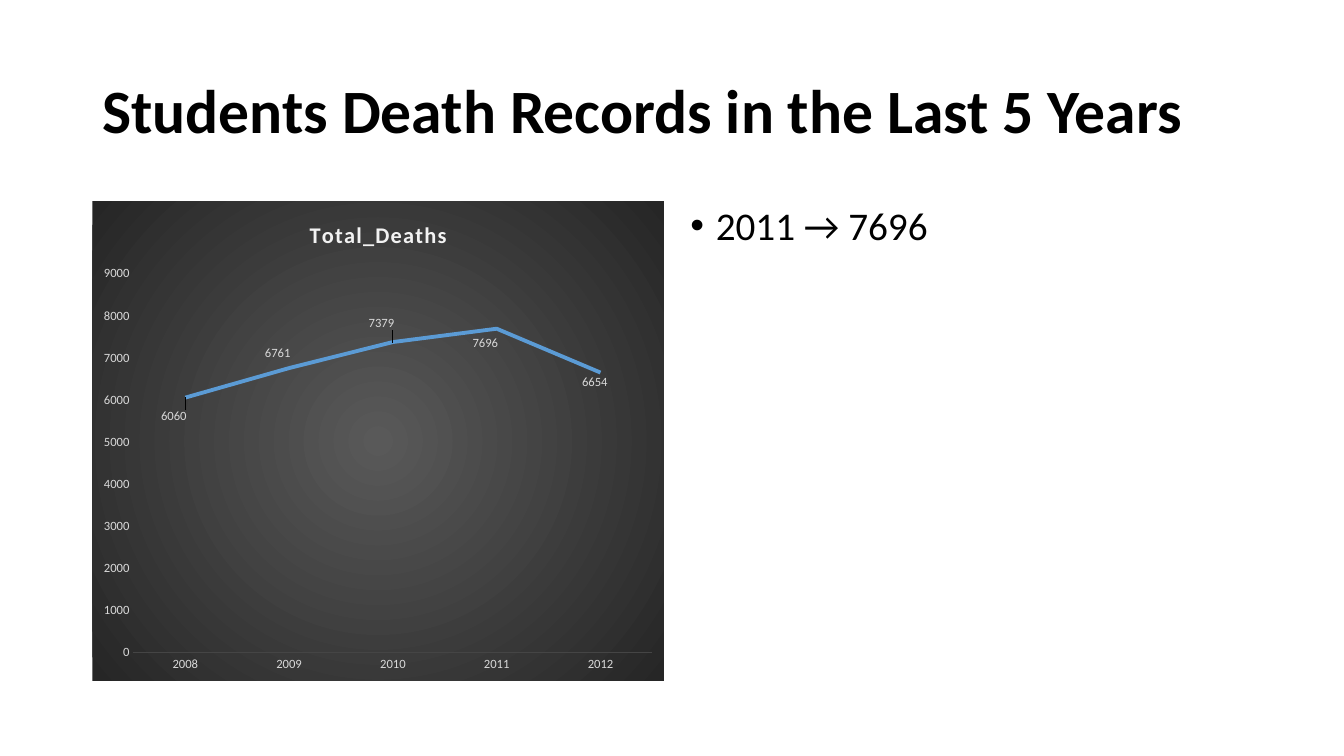
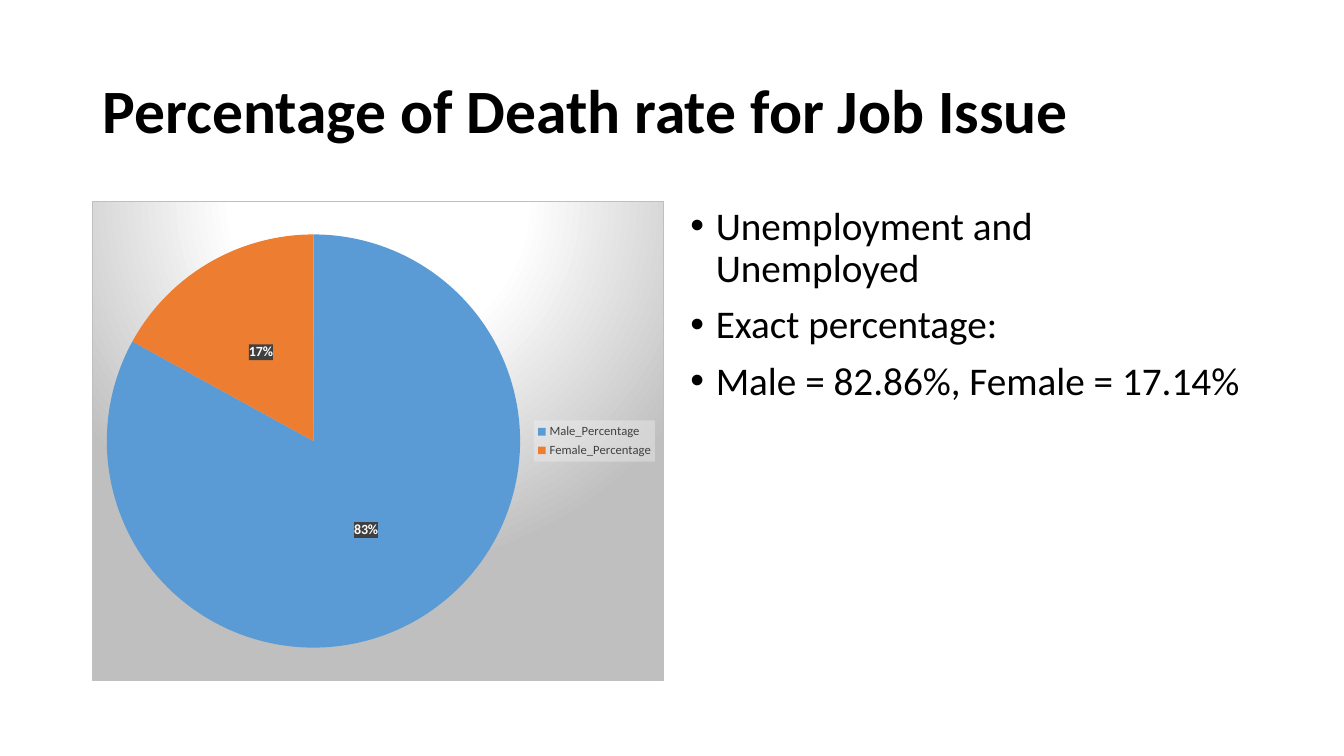
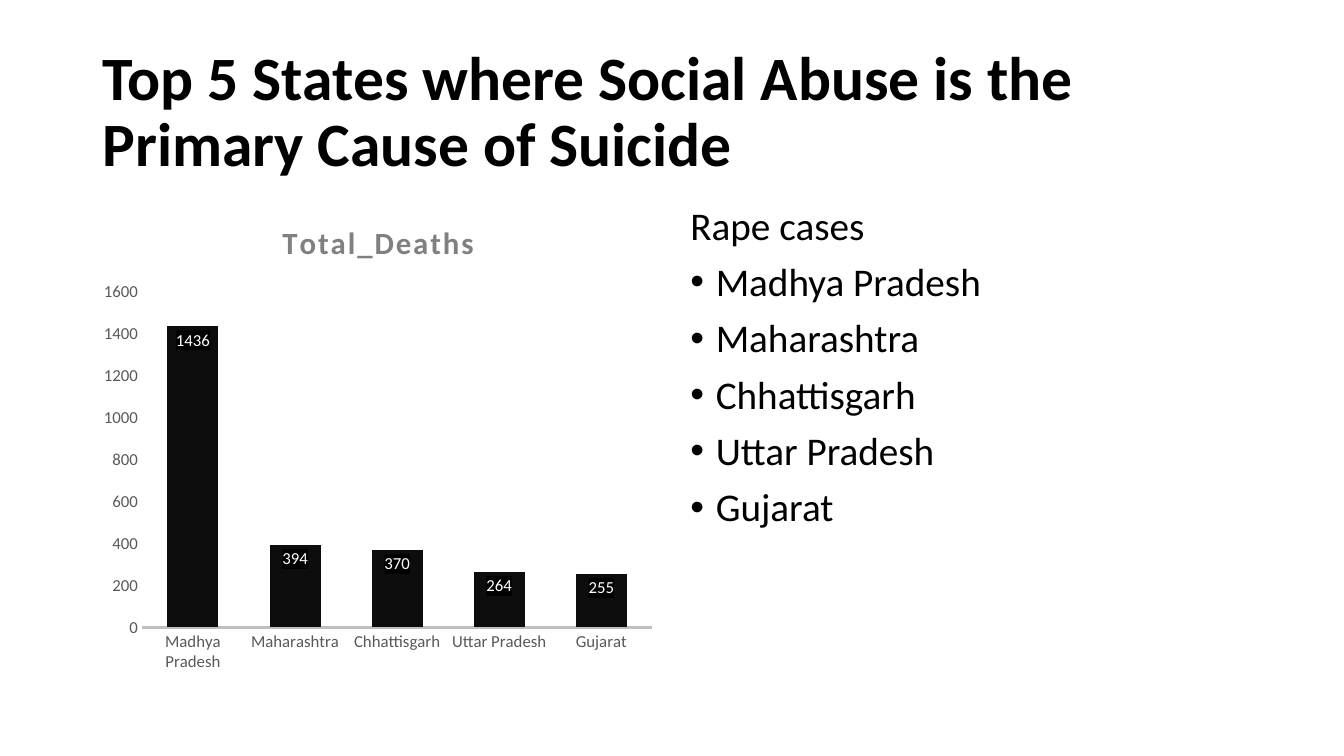
from lxml.etree import SubElement
from pptx import Presentation
from pptx.chart.data import CategoryChartData
from pptx.dml.color import RGBColor
from pptx.enum.chart import XL_CHART_TYPE, XL_LABEL_POSITION, XL_LEGEND_POSITION, XL_MARKER_STYLE, XL_TICK_MARK
from pptx.enum.text import MSO_ANCHOR, MSO_AUTO_SIZE, PP_ALIGN
from pptx.oxml import parse_xml
from pptx.oxml.ns import nsdecls, qn
from pptx.util import Cm, Pt

FONT = "Calibri"
PAGE_SIZE = (33.87, 19.05)
TITLE_AREA = (2.33, 1.02, 29.21, 3.68)
CHART_AREA = (2.33, 5.07, 14.4, 12.09)
BODY_AREA = (17.15, 5.07, 14.4, 12.09)
BULLET_INDENT = 0.64
TITLE_FORMAT = {"size": 44, "color": "000000", "bold": True}
BODY_FORMAT = {"size": 28, "color": "000000", "bold": False}
BASE_FORMAT = {"size": 10, "color": "000000"}

SLIDES = [
    {
        "title": "Students Death Records in the Last 5 Years",
        "body": [("2011 → 7696", True)],
        "type": XL_CHART_TYPE.LINE,
        "series": "Total_Deaths",
        "data": {"2008": 6060, "2009": 6761, "2010": 7379, "2011": 7696, "2012": 6654},
        "color": "5B9BD5",
        "heading": ({"size": 16, "color": "F2F2F2", "bold": True}, 100),
        "axes": {"format": {"size": 9, "color": "D9D9D9"}, "line": ("454545", 0.75),
                 "top": 9000, "step": 1000},
        "background": {"stops": [(0, "595959"), (100, "262626")], "focus": (50, 50, 50, 50)},
        "labels": {"size": 9, "color": "D9D9D9", "bold": False},
        "position": XL_LABEL_POSITION.CENTER,
        "offsets": [(-0.02, 0.04), (-0.02, -0.03), (-0.02, -0.04), (-0.02, 0.03), (-0.01, 0.02)],
    },
    {
        "title": "Percentage of Death rate for Job Issue",
        "body": [("Unemployment and Unemployed", True), ("Exact percentage:", True),
                 ("Male = 82.86%, Female = 17.14%", True)],
        "type": XL_CHART_TYPE.PIE,
        "series": "Series 1",
        "data": {"Male_Percentage": 83, "Female_Percentage": 17},
        "slices": ["5B9BD5", "ED7D31"],
        "legend": {"size": 9, "color": "404040"},
        "background": {"stops": [(0, "FFFFFF"), (39, "FFFFFF"), (100, "BFBFBF")],
                       "focus": (50, -80, 50, 180), "border": "BFBFBF"},
        "labels": {"size": 10, "color": "FFFFFF", "bold": True},
        "label_fill": "404040",
        "position": XL_LABEL_POSITION.CENTER,
    },
    {
        "title": "Top 5 States where Social Abuse is the Primary Cause of Suicide",
        "body": [("Rape cases", False), ("Madhya Pradesh", True), ("Maharashtra", True),
                 ("Chhattisgarh", True), ("Uttar Pradesh", True), ("Gujarat", True)],
        "type": XL_CHART_TYPE.COLUMN_CLUSTERED,
        "series": "Total_Deaths",
        "data": {"Madhya Pradesh": 1436, "Maharashtra": 394, "Chhattisgarh": 370,
                 "Uttar Pradesh": 264, "Gujarat": 255},
        "color": "0D0D0D",
        "heading": ({"size": 22, "color": "808080", "bold": True}, 150),
        "axes": {"format": {"size": 12, "color": "595959"}, "line": ("BFBFBF", 1.5),
                 "top": 1600, "step": 200},
        "labels": {"size": 12, "color": "FFFFFF", "bold": False},
        "label_fill": "000000",
        "position": XL_LABEL_POSITION.INSIDE_END,
    },
]


def rgb(value):
    return RGBColor.from_string(value)


def set_font(font, values):
    font.name = FONT
    for name, value in values.items():
        if name == "color":
            font.color.rgb = rgb(value)
        else:
            setattr(font, name, Pt(value) if name == "size" else value)


def area(values):
    return [Cm(value) for value in values]


def solid(color, alpha=100):
    return f'<a:solidFill><a:srgbClr val="{color}"><a:alpha val="{alpha * 1000}"/></a:srgbClr></a:solidFill>'


def gradient(stops, focus):
    marks = "".join(f'<a:gs pos="{place * 1000}"><a:srgbClr val="{color}"/></a:gs>' for place, color in stops)
    edges = " ".join(f'{side}="{value * 1000}"' for side, value in zip("ltrb", focus))
    return (f'<a:gradFill><a:gsLst>{marks}</a:gsLst>'
            f'<a:path path="circle"><a:fillToRect {edges}/></a:path></a:gradFill>')


def set_background(element, fill, border=None):
    line = solid(border) if border else "<a:noFill/>"
    properties = parse_xml(f'<c:spPr {nsdecls("c", "a")}>{fill}<a:ln w="9525">{line}</a:ln></c:spPr>')
    element.find(qn("c:txPr")).addprevious(properties)


def label_layout(offset):
    places = "".join(f'<c:{name} val="{value}"/>' for name, value in zip("xy", offset))
    return parse_xml(f'<c:layout {nsdecls("c")}><c:manualLayout>{places}</c:manualLayout></c:layout>')


def hide_leader_lines(labels):
    labels.append(parse_xml(
        f'<c:extLst {nsdecls("c")}><c:ext uri="{{CE6537A1-D6FC-4f65-9D91-7224C49458BB}}" '
        'xmlns:c15="http://schemas.microsoft.com/office/drawing/2012/chart">'
        '<c15:showLeaderLines val="0"/></c:ext></c:extLst>'))


def add_title(page, text):
    title = page.shapes.title
    title.left, title.top, title.width, title.height = area(TITLE_AREA)
    frame = title.text_frame
    frame.text = text
    frame.word_wrap = True
    frame.auto_size = MSO_AUTO_SIZE.NONE
    frame.vertical_anchor = MSO_ANCHOR.MIDDLE
    para = frame.paragraphs[0]
    para.alignment = PP_ALIGN.LEFT
    para.line_spacing = 0.9
    set_font(para.runs[0].font, TITLE_FORMAT)


def add_body(page, lines):
    frame = page.shapes.add_textbox(*area(BODY_AREA)).text_frame
    frame.word_wrap = True
    for index, (text, bulleted) in enumerate(lines):
        para = frame.add_paragraph() if index else frame.paragraphs[0]
        para.line_spacing = 0.9
        para.space_before = Pt(10)
        span = para.add_run()
        span.text = text
        set_font(span.font, BODY_FORMAT)
        if bulleted:
            properties = para._p.get_or_add_pPr()
            properties.set("marL", str(Cm(BULLET_INDENT)))
            properties.set("indent", str(-Cm(BULLET_INDENT)))
            SubElement(properties, qn("a:buFont")).set("typeface", "Arial")
            SubElement(properties, qn("a:buChar")).set("char", "•")


def format_axes(chart, axes):
    for axis in (chart.category_axis, chart.value_axis):
        axis.has_major_gridlines = False
        axis.major_tick_mark = axis.minor_tick_mark = XL_TICK_MARK.NONE
        set_font(axis.tick_labels.font, axes["format"])
    color, width = axes["line"]
    line = chart.category_axis.format.line
    line.color.rgb = rgb(color)
    line.width = Pt(width)
    scale = chart.value_axis
    scale.format.line.fill.background()
    scale.minimum_scale, scale.maximum_scale, scale.major_unit = 0, axes["top"], axes["step"]


def format_series(chart, content):
    plot, series = chart.plots[0], chart.plots[0].series[0]
    plot.vary_by_categories = "slices" in content
    if content["type"] == XL_CHART_TYPE.LINE:
        series.smooth = False
        series.marker.style = XL_MARKER_STYLE.NONE
        series.format.line.color.rgb = rgb(content["color"])
        series.format.line.width = Pt(2.75)
    elif content["type"] == XL_CHART_TYPE.PIE:
        for index, color in enumerate(content["slices"]):
            fill = series.points[index].format.fill
            fill.solid()
            fill.fore_color.rgb = rgb(color)
    else:
        plot.gap_width = plot.overlap = 100
        series.format.fill.solid()
        series.format.fill.fore_color.rgb = rgb(content["color"])


def format_labels(chart, content):
    series = chart.plots[0].series[0]
    labels = series.data_labels
    labels.show_value = "slices" not in content
    labels.show_percentage = "slices" in content
    labels.position = content["position"]
    if labels.show_percentage:
        labels.number_format = "0%"
        labels.number_format_is_linked = False
    set_font(labels.font, content["labels"])
    group = next(chart.element.iter(qn("c:dLbls")))
    if "label_fill" in content:
        set_background(group, solid(content["label_fill"]))
    offsets = content.get("offsets", [])
    for index in range(len(offsets)):
        label = series.points[index].data_label
        set_font(label.font, content["labels"])
        label.position = content["position"]
    for element, offset in zip(group.findall(qn("c:dLbl")), offsets):
        element.find(qn("c:idx")).addnext(label_layout(offset))
    if offsets:
        hide_leader_lines(group)


def add_chart(page, content):
    data = CategoryChartData()
    data.categories = list(content["data"])
    data.add_series(content["series"], list(content["data"].values()))
    chart = page.shapes.add_chart(content["type"], *area(CHART_AREA), data).chart
    set_font(chart.font, BASE_FORMAT)
    chart.has_title = "heading" in content
    if chart.has_title:
        values, spacing = content["heading"]
        span = chart.chart_title.text_frame.paragraphs[0].add_run()
        span.text = content["series"]
        set_font(span.font, values)
        span.font._element.set("spc", str(spacing))
        chart.chart_title.include_in_layout = False
    chart.has_legend = "legend" in content
    if chart.has_legend:
        chart.legend.position = XL_LEGEND_POSITION.RIGHT
        chart.legend.include_in_layout = False
        set_font(chart.legend.font, content["legend"])
        set_background(next(chart.element.iter(qn("c:legend"))), solid("F2F2F2", 39))
    if "axes" in content:
        format_axes(chart, content["axes"])
    format_series(chart, content)
    format_labels(chart, content)
    background = content.get("background")
    fill = gradient(background["stops"], background["focus"]) if background else "<a:noFill/>"
    set_background(chart.element, fill, background and background.get("border"))


def main():
    deck = Presentation()
    deck.slide_width, deck.slide_height = area(PAGE_SIZE)
    for content in SLIDES:
        page = deck.slides.add_slide(deck.slide_layouts[5])
        add_title(page, content["title"])
        add_body(page, content["body"])
        add_chart(page, content)
    deck.save("out.pptx")


if __name__ == "__main__":
    main()
